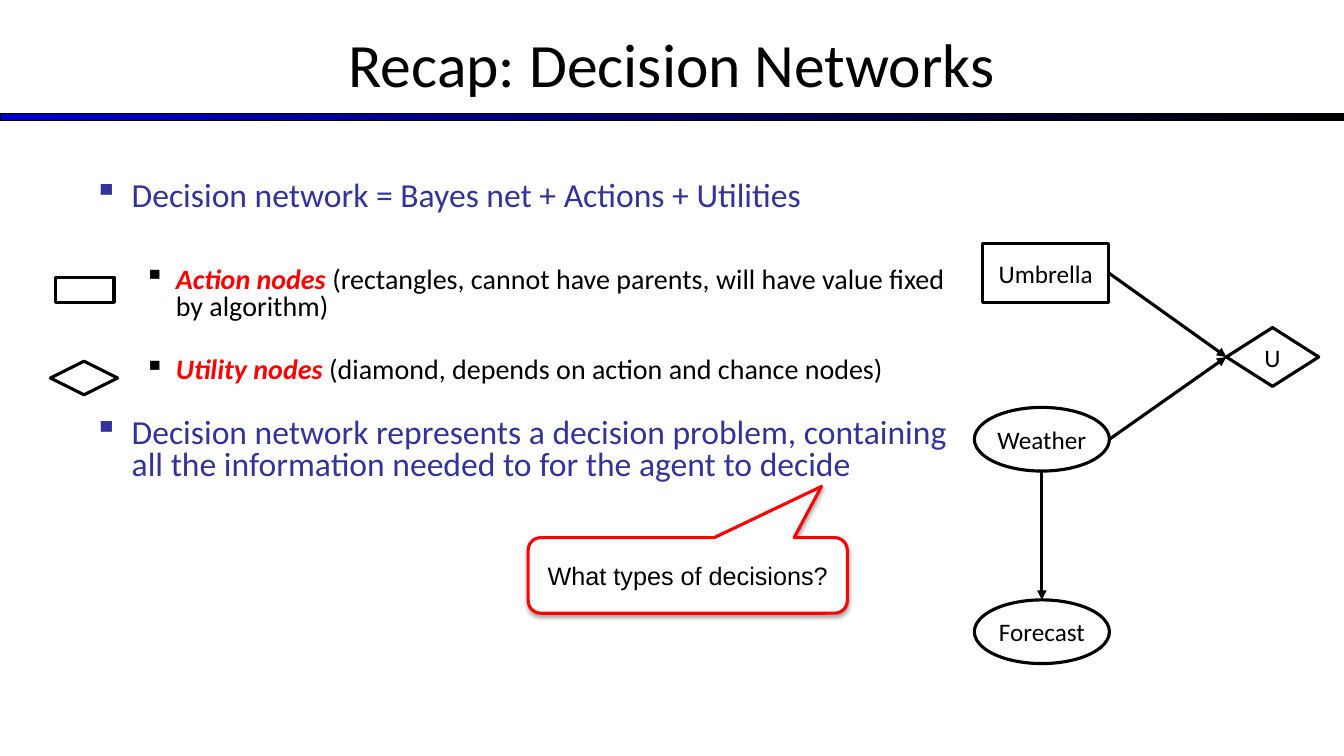
from lxml import etree
from pptx import Presentation
from pptx.dml.color import RGBColor
from pptx.enum import shapes, text
from pptx.oxml import ns
from pptx.util import Pt

BLACK = RGBColor(0, 0, 0)
WHITE = RGBColor(255, 255, 255)
RED = RGBColor(255, 0, 0)
INDIGO = RGBColor(0x33, 0x33, 0x99)
BLUE = RGBColor(0, 0, 0xCC)
KIND = shapes.MSO_SHAPE

TOP, BOTTOM, LEFT, RIGHT = (0.5, 0), (0.5, 1), (0, 0.5), (1, 0.5)


def add_child(parent, tag, **attributes):
    child = etree.SubElement(parent, ns.qn(tag))
    for name, value in attributes.items():
        child.set(name, str(value))
    return child


def write_centred(frame, words, size, font_name="Calibri"):
    frame.vertical_anchor = text.MSO_ANCHOR.MIDDLE
    paragraph = frame.paragraphs[0]
    paragraph.text = words
    paragraph.alignment = text.PP_ALIGN.CENTER
    paragraph.font.size = Pt(size)
    paragraph.font.name = font_name
    paragraph.font.color.rgb = BLACK


def add_title(slide, words):
    box = slide.shapes.add_textbox(0, 0, Pt(960), Pt(90))
    box.text_frame.word_wrap = True
    write_centred(box.text_frame, words, 44)


def add_title_bar(slide):
    bar = slide.shapes.add_shape(KIND.RECTANGLE, 0, Pt(81), Pt(960), Pt(5.25))
    bar.shadow.inherit = False
    bar.fill.gradient()
    bar.fill.gradient_angle = 0
    for stop, color, position in zip(bar.fill.gradient_stops, (BLUE, BLACK), (0, 1)):
        stop.color.rgb = color
        stop.position = position
    bar.line.color.rgb = BLACK
    bar.line.width = Pt(0.75)


def add_node(slide, kind, left, top, width, height, label="", line_color=BLACK):
    node = slide.shapes.add_shape(kind, Pt(left), Pt(top), Pt(width), Pt(height))
    node.shadow.inherit = False
    node.fill.solid()
    node.fill.fore_color.rgb = WHITE
    node.line.color.rgb = line_color
    node.line.width = Pt(2.25)
    if label:
        frame = node.text_frame
        frame.word_wrap = False
        frame.margin_left = frame.margin_right = 0
        frame.margin_top = frame.margin_bottom = 0
        write_centred(frame, label, 18)
    return node


def edge_point(node, side):
    across, down = side
    return (int(node.left + across * node.width),
            int(node.top + down * node.height))


def add_arrow(slide, start, start_side, end, end_side):
    arrow = slide.shapes.add_connector(
        shapes.MSO_CONNECTOR.STRAIGHT,
        *edge_point(start, start_side), *edge_point(end, end_side))
    arrow.line.color.rgb = BLACK
    arrow.line.width = Pt(2.25)
    properties = arrow._element.spPr
    add_child(properties.find(ns.qn("a:ln")), "a:tailEnd", type="triangle")
    add_child(properties, "a:effectLst")


def add_callout(slide, words):
    callout = add_node(slide, KIND.ROUNDED_RECTANGULAR_CALLOUT,
                       377.25, 384, 228, 54, line_color=RED)
    for index, value in enumerate((0.419, -1.177, 0.167)):
        callout.adjustments[index] = value
    write_centred(callout.text_frame, words, 18, "Arial")
    effects = callout._element.spPr.find(ns.qn("a:effectLst"))
    shadow = add_child(effects, "a:outerShdw", blurRad=int(Pt(3.1)),
                       dist=int(Pt(1.8)), dir=5400000, rotWithShape=0)
    color = add_child(shadow, "a:srgbClr", val=BLACK)
    add_child(color, "a:alpha", val=35000)


def add_bullet(paragraph, words, size, color, margin, hanging, space, term=""):
    paragraph.line_spacing = 0.8
    paragraph.space_before = Pt(space)
    paragraph.font.name = "Calibri"
    paragraph.font.size = Pt(size)
    paragraph.font.color.rgb = color
    if term:
        run = paragraph.add_run()
        run.text = term
        run.font.bold = run.font.italic = True
        run.font.color.rgb = RED
    paragraph.add_run().text = words
    properties = paragraph._p.get_or_add_pPr()
    properties.set("marL", str(int(Pt(margin))))
    properties.set("indent", str(-int(Pt(hanging))))
    bullet_color = etree.Element(ns.qn("a:buClr"))
    add_child(bullet_color, "a:srgbClr", val=color)
    bullet = etree.Element(ns.qn("a:buChar"), char="▪")
    defaults = properties.find(ns.qn("a:defRPr"))
    defaults.addprevious(bullet_color)
    defaults.addprevious(bullet)


def add_body(slide):
    box = slide.shapes.add_textbox(Pt(60), Pt(126), Pt(636.5), Pt(344))
    frame = box.text_frame
    frame.word_wrap = True
    main_style = (24, INDIGO, 27, 27)
    node_style = (20, BLACK, 58.5, 22.5)
    bullets = [
        ("", "Decision network = Bayes net + Actions + Utilities", main_style, 0),
        ("Action nodes ", "(rectangles, cannot have parents, will have value fixed by algorithm)",
         node_style, 39),
        ("Utility nodes ", "(diamond, depends on action and chance nodes)", node_style, 26),
        ("", "Decision network represents a decision problem, containing "
         "all the information needed to for the agent to decide", main_style, 24),
    ]
    for index, (term, words, style, space) in enumerate(bullets):
        paragraph = frame.add_paragraph() if index else frame.paragraphs[0]
        add_bullet(paragraph, words, *style, space, term)


def add_network(slide):
    umbrella = add_node(slide, KIND.RECTANGLE, 702, 174, 90, 42, "Umbrella")
    weather = add_node(slide, KIND.OVAL, 696, 291, 96.5, 45.5, "Weather")
    forecast = add_node(slide, KIND.OVAL, 696, 428.5, 96.5, 45.5, "Forecast")
    utility = add_node(slide, KIND.DIAMOND, 876, 234, 66, 42, "U")
    add_arrow(slide, umbrella, RIGHT, utility, LEFT)
    add_arrow(slide, weather, RIGHT, utility, LEFT)
    add_arrow(slide, weather, BOTTOM, forecast, TOP)


def main():
    presentation = Presentation()
    presentation.slide_width = Pt(960)
    presentation.slide_height = Pt(540)
    slide = presentation.slides.add_slide(presentation.slide_layouts[6])
    add_title_bar(slide)
    add_title(slide, "Recap: Decision Networks")
    add_network(slide)
    add_node(slide, KIND.RECTANGLE, 39.5, 198, 42, 18)
    add_node(slide, KIND.DIAMOND, 36, 258, 48, 24)
    add_body(slide)
    add_callout(slide, "What types of decisions?")
    presentation.save("out.pptx")


if __name__ == "__main__":
    main()
